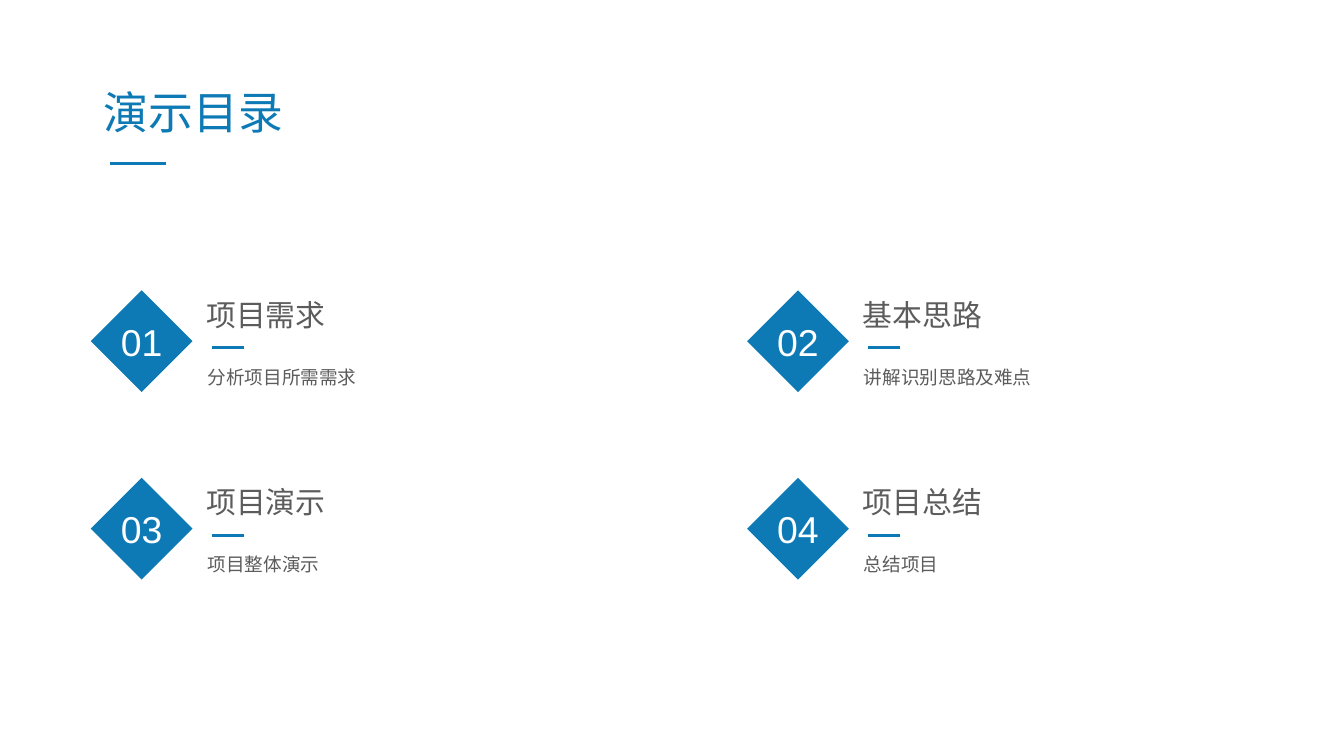
import pptx
import pptx.dml.color
import pptx.enum.shapes
import pptx.enum.text
import pptx.oxml.ns
import pptx.util
from lxml import etree
from pptx.util import Inches

BLUE = pptx.dml.color.RGBColor(0x0D, 0x7A, 0xB5)
GREY = pptx.dml.color.RGBColor(0x5C, 0x5C, 0x5C)
WHITE = pptx.dml.color.RGBColor(0xFF, 0xFF, 0xFF)
FONT = "Arial"

ALIGN = pptx.enum.text.PP_ALIGN
ANCHOR = pptx.enum.text.MSO_ANCHOR
FIT = pptx.enum.text.MSO_AUTO_SIZE

TOPICS = [
    ("项目需求", "分析项目所需需求"),
    ("基本思路", "讲解识别思路及难点"),
    ("项目演示", "项目整体演示"),
    ("项目总结", "总结项目"),
]
COLUMNS = 2
GRID_LEFT, GRID_TOP = 0.9, 2.88
COLUMN_STEP, ROW_STEP = 6.51, 1.86
DIAMOND_SIZE = 1.01


def write(frame, text, size, color, align=ALIGN.LEFT, anchor=ANCHOR.TOP, spacing=None):
    frame.vertical_anchor = anchor
    paragraph = frame.paragraphs[0]
    paragraph.alignment = align
    if spacing:
        paragraph.line_spacing = spacing
    run = paragraph.add_run()
    run.text = text
    run.font.name = FONT
    run.font.size = pptx.util.Pt(size)
    run.font.color.rgb = color


def add_title(slide, text):
    title = slide.shapes.title
    title.left, title.top = Inches(0.93), Inches(0.79)
    title.width, title.height = Inches(2), Inches(0.64)
    title.text_frame.word_wrap = False
    title.text_frame.auto_size = FIT.NONE
    write(title.text_frame, text, 32, BLUE)


def add_label(slide, left, top, width, height, text, size, spacing=None):
    label = slide.shapes.add_textbox(
        Inches(left), Inches(top), Inches(width), Inches(height))
    label.text_frame.word_wrap = True
    label.text_frame.auto_size = FIT.SHAPE_TO_FIT_TEXT
    write(label.text_frame, text, size, GREY, spacing=spacing)


def add_rule(slide, left, top, length):
    rule = slide.shapes.add_connector(
        pptx.enum.shapes.MSO_CONNECTOR.STRAIGHT,
        Inches(left), Inches(top), Inches(left + length), Inches(top))
    rule.line.color.rgb = BLUE
    rule.line.width = pptx.util.Pt(2)
    etree.SubElement(rule._element.spPr, pptx.oxml.ns.qn("a:effectLst"))


def add_number(slide, left, top, number):
    diamond = slide.shapes.add_shape(
        pptx.enum.shapes.MSO_SHAPE.DIAMOND, Inches(left), Inches(top),
        Inches(DIAMOND_SIZE), Inches(DIAMOND_SIZE))
    diamond.shadow.inherit = False
    diamond.fill.solid()
    diamond.fill.fore_color.rgb = BLUE
    diamond.line.fill.background()
    diamond.text_frame.word_wrap = False
    write(diamond.text_frame, f"{number:02d}", 26.7, WHITE, ALIGN.CENTER, ANCHOR.MIDDLE)


def add_topic(slide, left, top, number, heading, summary):
    add_number(slide, left, top, number)
    add_label(slide, left + 1.05, top + 0.01, 2.2, 0.46, heading, 21.3)
    add_rule(slide, left + 1.2, top + 0.57, 0.32)
    add_label(slide, left + 1.06, top + 0.59, 4.36, 0.4, summary, 13.3, spacing=1.5)


def main():
    deck = pptx.Presentation()
    deck.slide_width, deck.slide_height = Inches(13.33), Inches(7.5)
    slide = deck.slides.add_slide(deck.slide_layouts.get_by_name("Title Only"))
    add_title(slide, "演示目录")
    add_rule(slide, 1.09, 1.62, 0.56)
    for index, (heading, summary) in enumerate(TOPICS):
        row, column = divmod(index, COLUMNS)
        add_topic(slide, GRID_LEFT + column * COLUMN_STEP, GRID_TOP + row * ROW_STEP,
                  index + 1, heading, summary)
    deck.save("out.pptx")


if __name__ == "__main__":
    main()
